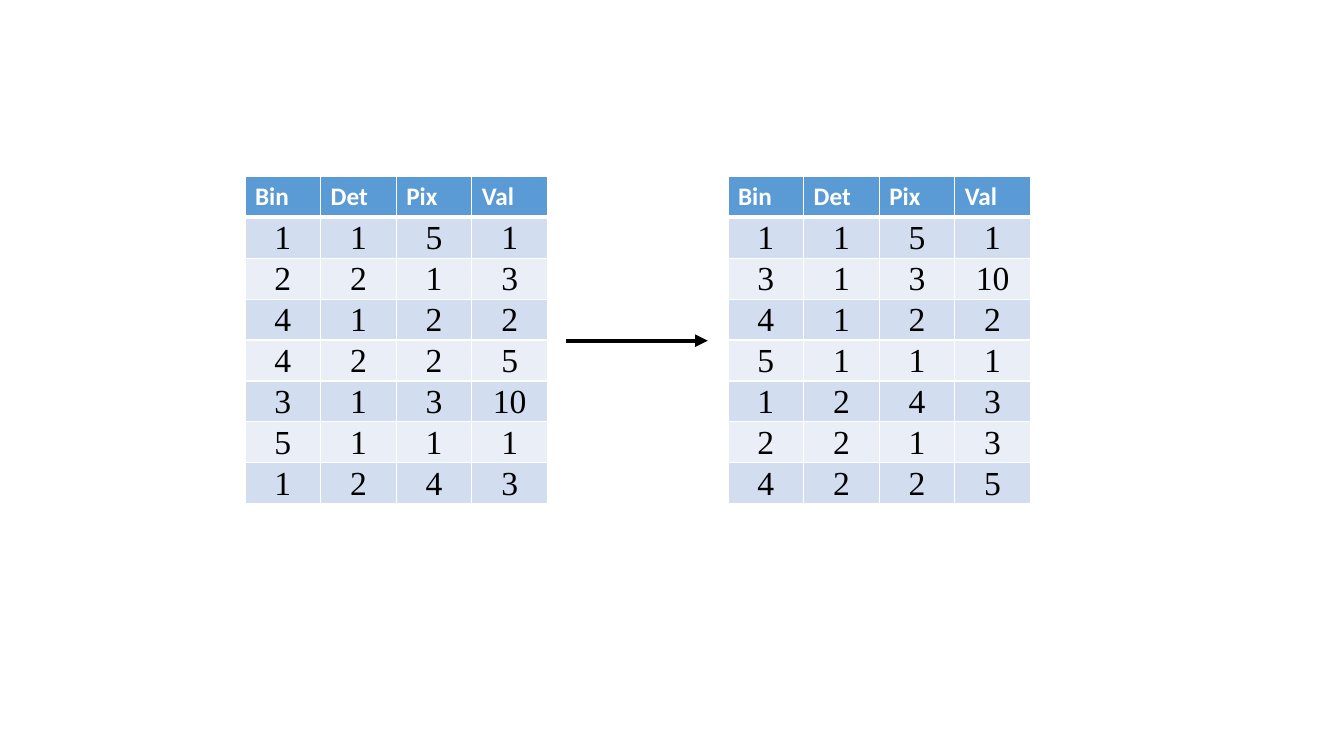
import pptx
import pptx.dml.color
import pptx.enum.shapes
import pptx.enum.text
import pptx.oxml.ns
import pptx.util
from lxml import etree

Inches = pptx.util.Inches
Pt = pptx.util.Pt
RGBColor = pptx.dml.color.RGBColor
qn = pptx.oxml.ns.qn
PP_ALIGN = pptx.enum.text.PP_ALIGN

WHITE = RGBColor(0xFF, 0xFF, 0xFF)
BLACK = RGBColor(0x00, 0x00, 0x00)
HEADER_BLUE = RGBColor(0x5B, 0x9B, 0xD5)
BAND_COLORS = (RGBColor(0xD2, 0xDE, 0xEF), RGBColor(0xEA, 0xEF, 0xF7))

HEADERS = ("Bin", "Det", "Pix", "Val")
UNSORTED_ROWS = [
    (1, 1, 5, 1),
    (2, 2, 1, 3),
    (4, 1, 2, 2),
    (4, 2, 2, 5),
    (3, 1, 3, 10),
    (5, 1, 1, 1),
    (1, 2, 4, 3),
]
SORTED_ROWS = sorted(UNSORTED_ROWS, key=lambda row: (row[1], row[0]))


def write_text(text_frame, text, *, font, size, color, bold=False,
               align=PP_ALIGN.LEFT, line_spacing=1.0):
    paragraph = text_frame.paragraphs[0]
    paragraph.alignment = align
    paragraph.line_spacing = line_spacing
    run = paragraph.add_run()
    run.text = text
    run.font.name = font
    run.font.size = Pt(size)
    run.font.color.rgb = color
    run.font.bold = bold


class SlideBuilder:
    header_format = dict(font="Calibri", size=18, color=WHITE, bold=True)
    value_format = dict(font="Times New Roman", size=24, color=BLACK,
                        align=PP_ALIGN.CENTER, line_spacing=1.07)
    column_width = 0.75
    table_height = 3.25
    thin_border = 1
    thick_border = 3

    def __init__(self, slide):
        self.slide = slide

    def add_borders(self, cell, top, bottom):
        properties = cell._tc.get_or_add_tcPr()
        widths = {"L": self.thin_border, "R": self.thin_border, "T": top, "B": bottom}
        for side, width in widths.items():
            line = etree.SubElement(properties, qn(f"a:ln{side}"), w=str(Pt(width)))
            fill = etree.SubElement(line, qn("a:solidFill"))
            etree.SubElement(fill, qn("a:srgbClr"), val=str(WHITE))

    def add_header_cell(self, cell, text):
        self.add_borders(cell, self.thin_border, self.thick_border)
        cell.fill.solid()
        cell.fill.fore_color.rgb = HEADER_BLUE
        write_text(cell.text_frame, text, **self.header_format)

    def add_value_cell(self, cell, value, row_index):
        top = self.thick_border if row_index == 0 else self.thin_border
        self.add_borders(cell, top, self.thin_border)
        cell.fill.solid()
        cell.fill.fore_color.rgb = BAND_COLORS[row_index % 2]
        cell.margin_left = cell.margin_right = Inches(0.07)
        cell.margin_top = cell.margin_bottom = 0
        write_text(cell.text_frame, str(value), **self.value_format)

    def add_table(self, left, top, rows):
        row_count = len(rows) + 1
        table = self.slide.shapes.add_table(
            row_count, len(HEADERS), Inches(left), Inches(top),
            Inches(self.column_width * len(HEADERS)), Inches(self.table_height),
        ).table
        table.horz_banding = False
        for row in table.rows:
            row.height = Inches(self.table_height / row_count)
        for column_index, header in enumerate(HEADERS):
            self.add_header_cell(table.cell(0, column_index), header)
        for row_index, row in enumerate(rows):
            for column_index, value in enumerate(row):
                cell = table.cell(row_index + 1, column_index)
                self.add_value_cell(cell, value, row_index)

    def add_arrow(self, start_x, end_x, y):
        arrow = self.slide.shapes.add_connector(
            pptx.enum.shapes.MSO_CONNECTOR.STRAIGHT,
            Inches(start_x), Inches(y), Inches(end_x), Inches(y))
        arrow.line.color.rgb = BLACK
        arrow.line.width = Pt(3)
        etree.SubElement(arrow.line._get_or_add_ln(), qn("a:tailEnd"), type="triangle")
        etree.SubElement(arrow._element.spPr, qn("a:effectLst"))


def main():
    presentation = pptx.Presentation()
    presentation.slide_width = Inches(13.33)
    presentation.slide_height = Inches(7.5)
    slide = presentation.slides.add_slide(presentation.slide_layouts[6])
    builder = SlideBuilder(slide)
    builder.add_table(2.43, 1.75, UNSORTED_ROWS)
    builder.add_table(7.22, 1.75, SORTED_ROWS)
    builder.add_arrow(5.61, 7.02, 3.38)
    presentation.save("out.pptx")


if __name__ == "__main__":
    main()
